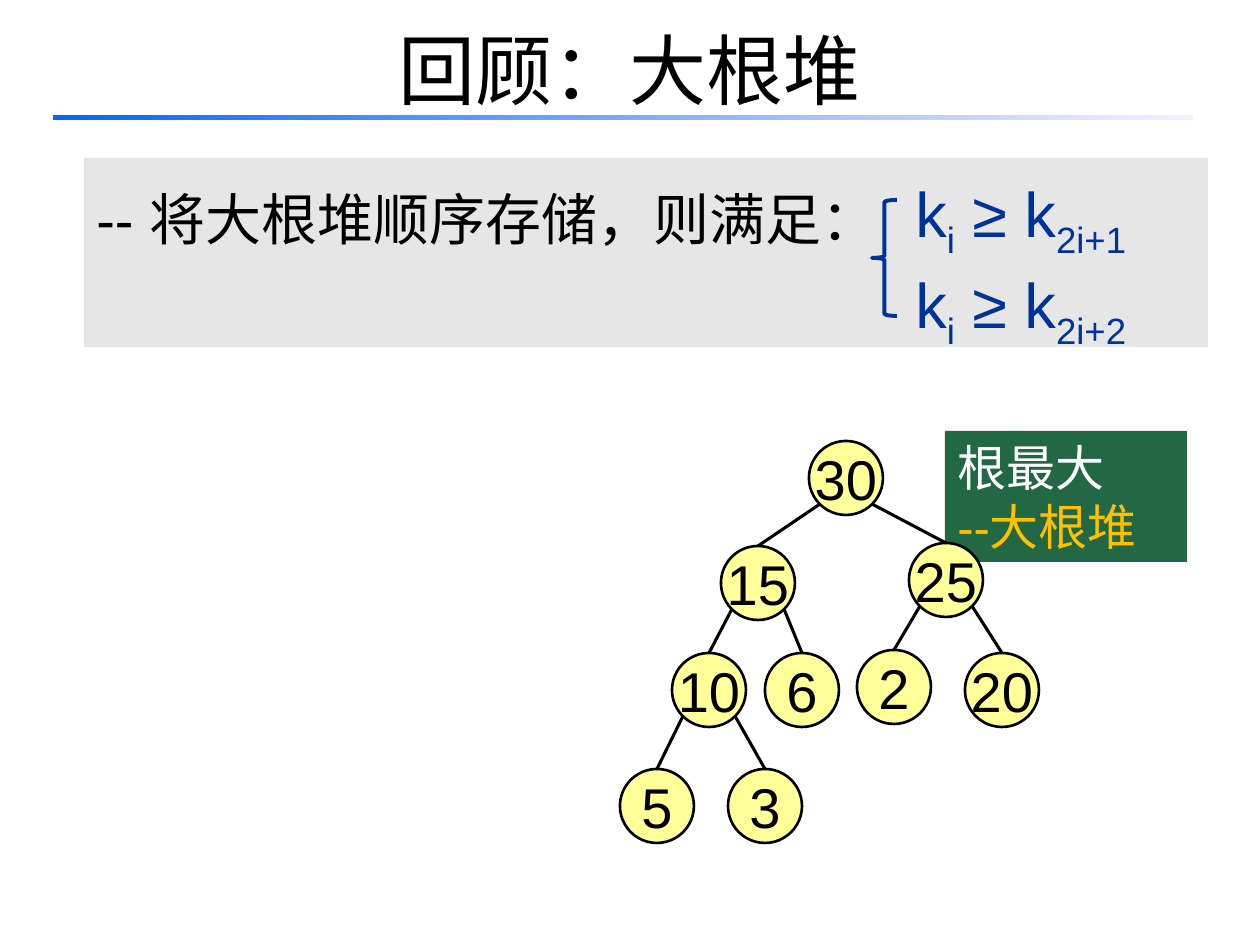
"""Build a slide that reviews the max-heap and its ordering rule."""
from dataclasses import dataclass
from lxml import etree
from pptx import Presentation
from pptx import util as u
from pptx.dml.color import RGBColor
from pptx.enum import shapes, text
from pptx.oxml.ns import qn

PX = 914400 / 126
HAN = "Noto Sans CJK SC"
SIZE, EDGE = 74, 26
HUES = {"ink": "000000", "white": "FFFFFF", "green": "226845", "gold": "FFC000",
        "node": "FFFF99", "gray": "E6E6E6", "navy": "003399",
        "blue": "0066FF", "pale": "F7EFFF"}


@dataclass
class Box:
    left: int
    top: int
    width: int
    height: int


@dataclass
class Node:
    key: str
    x: int
    y: int


@dataclass
class Rule:
    top: int
    space: float
    child: str


NODES = [Node("30", 846, 478), Node("15", 758, 583), Node("25", 946, 580),
         Node("10", 709, 690), Node("6", 802, 690), Node("2", 894, 687),
         Node("20", 1002, 690), Node("5", 657, 806), Node("3", 765, 806)]
RULES = [Rule(242, 1.2, "2i+2"), Rule(147, 1.25, "2i+1")]


def px(num: float) -> int:
    return round(num * PX)


def hue(name: str) -> RGBColor:
    return RGBColor.from_string(HUES[name])


def place(box: Box) -> list[int]:
    return [px(n) for n in (box.left, box.top, box.width, box.height)]


def style(run, size: int, tint: str, face: str = "Arial") -> None:
    run.font.size = u.Pt(size)
    run.font.color.rgb = hue(tint)
    run.font.name = face
    etree.SubElement(run.font._element, qn("a:ea")).set("typeface", HAN)


def draw(slide, kind, box: Box, fill: str = "", line: str = "", width: float = 1.5):
    shape = slide.shapes.add_shape(kind, *place(box))
    shape.shadow.inherit = False
    if fill:
        shape.fill.solid()
        shape.fill.fore_color.rgb = hue(fill)
    else:
        shape.fill.background()
    if line:
        shape.line.color.rgb = hue(line)
        shape.line.width = u.Pt(width)
    else:
        shape.line.fill.background()
    return shape


def write(shape, words: str, size: int, tints: list[str], face: str = "Arial",
          align=text.PP_ALIGN.LEFT, anchor=text.MSO_ANCHOR.TOP,
          wrap: bool = True, space: float = 1.0) -> None:
    frame = shape.text_frame
    frame.text = words
    frame.word_wrap = wrap
    frame.vertical_anchor = anchor
    for para, tint in zip(frame.paragraphs, tints):
        para.alignment = align
        para.line_spacing = space
        for run in para.runs:
            style(run, size, tint, face)


def head(slide) -> None:
    title = slide.shapes.add_textbox(*place(Box(63, -10, 1134, 157)))
    write(title, "回顾：大根堆", 44, ["ink"], HAN,
          text.PP_ALIGN.CENTER, text.MSO_ANCHOR.MIDDLE)
    bar = draw(slide, shapes.MSO_SHAPE.RECTANGLE, Box(53, 115, 1140, 5))
    bar.fill.gradient()
    bar.fill.gradient_angle = 0
    for stop, tint, spot in zip(bar.fill.gradient_stops, ("blue", "pale"), (0, 1)):
        stop.color.rgb = hue(tint)
        stop.position = spot


def link(slide, start: Node, side: int, child) -> None:
    wire = slide.shapes.add_connector(
        shapes.MSO_CONNECTOR.STRAIGHT, px(start.x + side * EDGE),
        px(start.y + EDGE), child.left, child.top)
    wire.end_connect(child, 0)
    wire.line.color.rgb = hue("ink")
    wire.line.width = u.Pt(1.75)
    etree.SubElement(wire._element.spPr, qn("a:effectLst"))


def tree(slide) -> None:
    for i, node in enumerate(NODES):
        box = Box(node.x - SIZE // 2, node.y - SIZE // 2, SIZE, SIZE)
        disc = draw(slide, shapes.MSO_SHAPE.OVAL, box, "node", "ink")
        write(disc, node.key, 32, ["ink"], align=text.PP_ALIGN.CENTER,
              anchor=text.MSO_ANCHOR.MIDDLE, wrap=False)
        if i:
            link(slide, NODES[(i - 1) // 2], -1 if i % 2 else 1, disc)


def rule(slide, item: Rule) -> None:
    box = slide.shapes.add_textbox(*place(Box(903, item.top, 251, 106)))
    box.text_frame.word_wrap = False
    para = box.text_frame.paragraphs[0]
    para.line_spacing = item.space
    for part, low in (("k", False), ("i", True), (" ≥ k", False), (item.child, True)):
        run = para.add_run()
        run.text = part
        style(run, 36, "navy")
        if low:
            run.font._element.set("baseline", "-25000")


def main() -> None:
    deck = Presentation()
    deck.slide_width, deck.slide_height = px(1260), px(945)
    slide = deck.slides.add_slide(deck.slide_layouts[6])
    rect = shapes.MSO_SHAPE.RECTANGLE
    note = draw(slide, rect, Box(945, 431, 242, 131), "green")
    write(note, "根最大\n--大根堆", 28, ["white", "gold"])
    head(slide)
    tree(slide)
    panel = draw(slide, rect, Box(84, 158, 1124, 189), "gray")
    write(panel, "-- 将大根堆顺序存储，则满足：", 32, ["ink"], space=1.3)
    draw(slide, shapes.MSO_SHAPE.LEFT_BRACE, Box(872, 200, 25, 116),
         line="navy", width=2.25)
    for item in RULES:
        rule(slide, item)
    deck.save("out.pptx")


if __name__ == "__main__":
    main()
